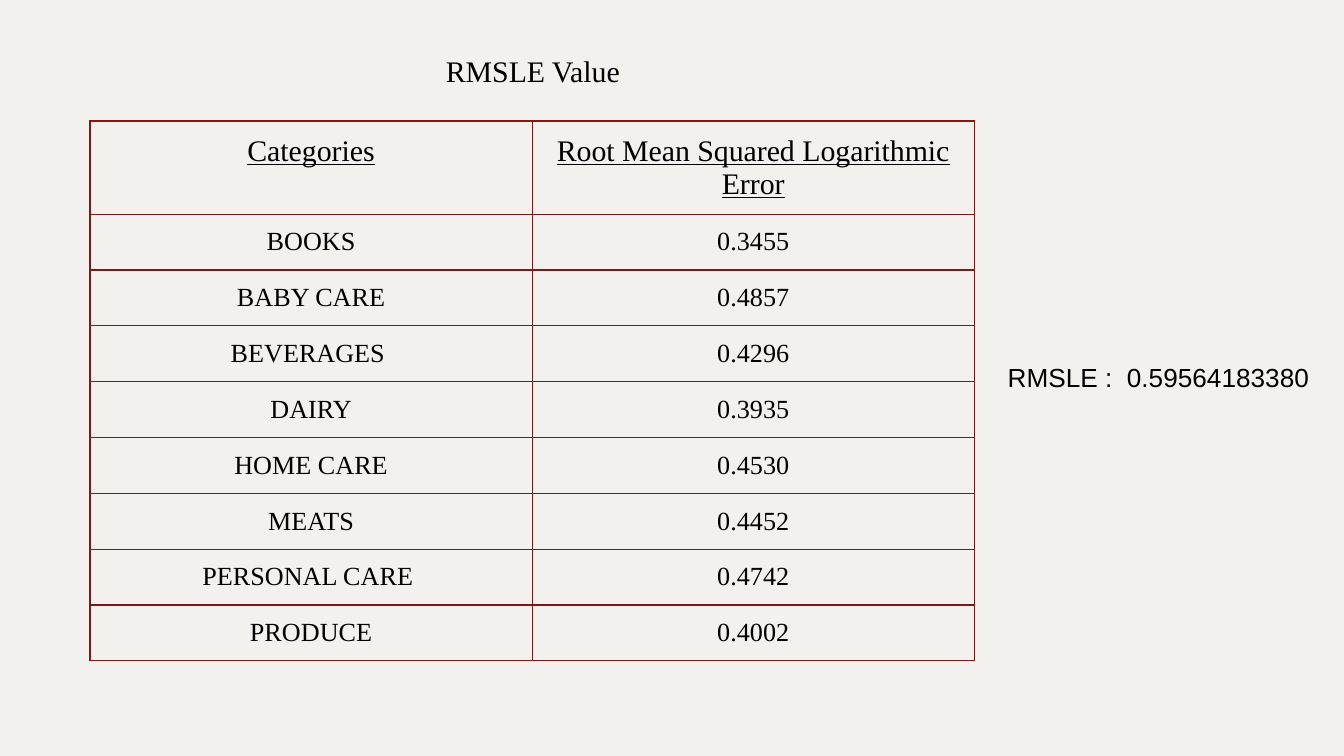
from lxml import etree
from pptx import Presentation
from pptx.dml.color import RGBColor
from pptx.enum import text
from pptx.oxml import ns
from pptx.util import Inches, Pt

BACKGROUND = RGBColor(0xF2, 0xF1, 0xEE)
BORDER = RGBColor(0x7D, 0x19, 0x16)
INK = RGBColor(0, 0, 0)

SERIF = "Times New Roman"
HEADING = {"name": SERIF, "size": Pt(16)}
HEADER = {**HEADING, "underline": True}
BODY = {"name": SERIF, "size": Pt(14)}
NOTE = {"name": "Arial", "size": Pt(14)}
MARGINS = ("margin_left", "margin_top", "margin_right", "margin_bottom")

ROWS = [
    ("Categories", "Root Mean Squared Logarithmic Error"),
    ("BOOKS", "0.3455"),
    ("BABY CARE", "0.4857"),
    ("BEVERAGES ", "0.4296"),
    ("DAIRY", "0.3935"),
    ("HOME CARE", "0.4530"),
    ("MEATS", "0.4452"),
    ("PERSONAL CARE ", "0.4742"),
    ("PRODUCE", "0.4002"),
]
PAGE_WIDTH = 10
COLUMN_WIDTH = 3.29
HEADER_HEIGHT, ROW_HEIGHT = 0.41, 0.38


def set_margins(target):
    for margin in MARGINS:
        setattr(target, margin, Inches(0.1))


def write(frame, words, style, align):
    para = frame.paragraphs[0]
    para.alignment = align
    span = para.add_run()
    span.text = words
    for name, value in style.items():
        setattr(span.font, name, value)
    span.font.color.rgb = INK


def add_label(page, words, left, top, width, height, style, align):
    box = page.shapes.add_textbox(*map(Inches, (left, top, width, height)))
    frame = box.text_frame
    frame.word_wrap = True
    frame.auto_size = text.MSO_AUTO_SIZE.SHAPE_TO_FIT_TEXT
    set_margins(frame)
    write(frame, words, style, align)


def add_borders(cell):
    properties = cell._tc.get_or_add_tcPr()
    for side in ("lnL", "lnR", "lnT", "lnB"):
        line = etree.SubElement(properties, ns.qn(f"a:{side}"), w=str(Pt(0.75)))
        fill = etree.SubElement(line, ns.qn("a:solidFill"))
        etree.SubElement(fill, ns.qn("a:srgbClr"), val=str(BORDER))


def add_score_table(page, left, top):
    columns = len(ROWS[0])
    height = HEADER_HEIGHT + ROW_HEIGHT * (len(ROWS) - 1)
    table = page.shapes.add_table(
        len(ROWS), columns, Inches(left), Inches(top),
        Inches(COLUMN_WIDTH * columns), Inches(height)).table
    table.first_row = table.horz_banding = False
    for column in table.columns:
        column.width = Inches(COLUMN_WIDTH)
    for r, values in enumerate(ROWS):
        table.rows[r].height = Inches(ROW_HEIGHT if r else HEADER_HEIGHT)
        for c, words in enumerate(values):
            cell = table.cell(r, c)
            set_margins(cell)
            add_borders(cell)
            cell.fill.background()
            write(cell.text_frame, words, BODY if r else HEADER,
                  text.PP_ALIGN.CENTER)


def main():
    # Widescreen page, 16 to 9
    deck = Presentation()
    deck.slide_width = Inches(PAGE_WIDTH)
    deck.slide_height = Inches(PAGE_WIDTH * 9 / 16)
    page = deck.slides.add_slide(deck.slide_layouts[6])
    page.background.fill.solid()
    page.background.fill.fore_color.rgb = BACKGROUND

    # Scores by category
    add_score_table(page, 0.67, 0.9)

    # Overall score and heading
    add_label(page, "RMSLE :  0.59564183380", 7.4, 2.59, 2.64, 0.44,
              NOTE, text.PP_ALIGN.LEFT)
    add_label(page, "RMSLE Value", 2.19, 0.29, 3.55, 0.47,
              HEADING, text.PP_ALIGN.CENTER)

    deck.save("out.pptx")


if __name__ == "__main__":
    main()
